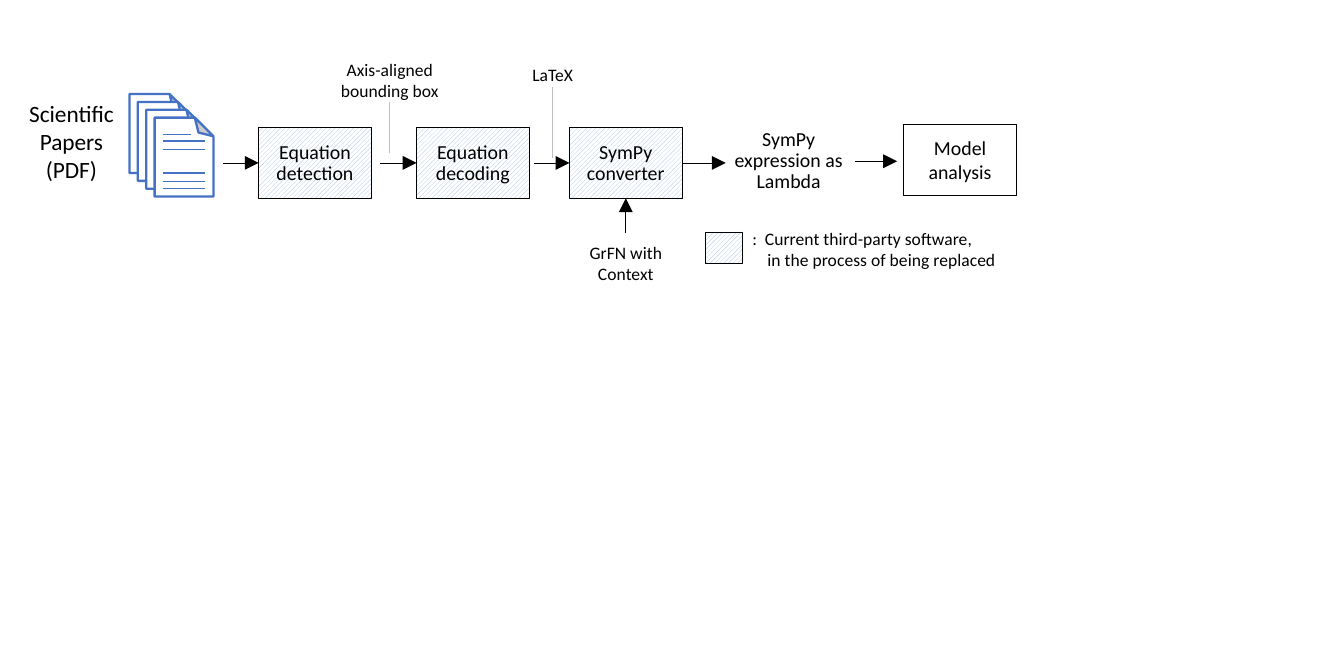
from pptx import Presentation
from pptx.dml.color import RGBColor
from pptx.enum.dml import MSO_PATTERN
from pptx.enum.shapes import MSO_CONNECTOR, MSO_SHAPE
from pptx.enum.text import MSO_ANCHOR, MSO_AUTO_SIZE, PP_ALIGN
from pptx.oxml.ns import qn
from pptx.util import Inches, Pt
from lxml import etree

RECT, FOLDED = MSO_SHAPE.RECTANGLE, MSO_SHAPE.FOLDED_CORNER
STRAIGHT = MSO_CONNECTOR.STRAIGHT
HATCH = MSO_PATTERN.LIGHT_UPWARD_DIAGONAL
MIDDLE, GROW = MSO_ANCHOR.MIDDLE, MSO_AUTO_SIZE.SHAPE_TO_FIT_TEXT
CENTER, LEFT = PP_ALIGN.CENTER, PP_ALIGN.LEFT
TOP_SIDE, LEFT_SIDE, BOTTOM_SIDE, RIGHT_SIDE = range(4)
BLACK, WHITE, BLUE, PALE_BLUE, GREY = "000000", "FFFFFF", "4472C4", "B4C7E7", "BFBFBF"
BOX_W, BOX_H = 0.67, 0.42

rgb = RGBColor.from_string
prs = Presentation()
prs.slide_width, prs.slide_height = Inches(8), Inches(4)
slide = prs.slides.add_slide(prs.slide_layouts[6])
shapes = slide.shapes


def write(s, text, size, align=CENTER, spacing=None, inset=(0.1, 0.05), wrap=True):
    tf = s.text_frame
    tf.word_wrap = wrap
    tf.margin_left = tf.margin_right = Inches(inset[0])
    tf.margin_top = tf.margin_bottom = Inches(inset[1])
    tf.text = text
    for p in tf.paragraphs:
        p.alignment = align
        p.line_spacing = spacing
        p.font.size = Pt(size)
        p.font.name = "Calibri"
        p.font.color.rgb = rgb(BLACK)
    return tf


def add_line(x1, y1, x2, y2, color=BLACK, width=0.25, arrow=False):
    c = shapes.add_connector(STRAIGHT, Inches(x1), Inches(y1), Inches(x2), Inches(y2))
    c.line.color.rgb = rgb(color)
    c.line.width = Pt(width)
    if arrow:
        etree.SubElement(c.line._get_or_add_ln(), qn("a:tailEnd"), type="triangle")
    etree.SubElement(c._element.spPr, qn("a:effectLst"))
    return c


for i in range(4):
    page = shapes.add_shape(FOLDED, Inches(0.77 + 0.05 * i), Inches(0.56 + 0.14 * i / 3),
                            Inches(0.35), Inches(0.47))
    page.shadow.inherit = False
    guides = page._element.spPr.find(qn("a:prstGeom")).get_or_add_avLst()
    etree.SubElement(guides, qn("a:gd"), name="adj", fmla="val 31700")
    page.rotation = 180
    page._element.spPr.xfrm.set("flipH", "1")
    page.fill.solid()
    page.fill.fore_color.rgb = rgb(WHITE)
    page.line.color.rgb = rgb(BLUE)
    page.line.width = Pt(1)

for y, right in [(0.8, 1.14), (0.84, 1.22), (0.89, 1.22),
                 (1.03, 1.22), (1.08, 1.22), (1.12, 1.22)]:
    add_line(0.97, y, right, y, BLUE, 0.5)

boxes = {}
for name, x, y, w, h, hatched in [
    ("Equation detection", 1.54, 0.76, BOX_W, BOX_H, True),
    ("Equation decoding", 2.48, 0.76, BOX_W, BOX_H, True),
    ("SymPy converter", 3.39, 0.76, BOX_W, BOX_H, True),
    ("Model analysis", 5.38, 0.74, BOX_W, BOX_H, False),
    ("", 4.2, 1.38, 0.22, 0.19, True),
]:
    s = shapes.add_shape(RECT, Inches(x), Inches(y), Inches(w), Inches(h))
    s.shadow.inherit = False
    s.line.color.rgb = rgb(BLACK)
    s.line.width = Pt(0.25)
    if hatched:
        s.fill.patterned()
        s.fill.pattern = HATCH
        s.fill.fore_color.rgb = rgb(PALE_BLUE)
        s.fill.back_color.rgb = rgb(WHITE)
    else:
        s.fill.background()
    if name:
        tf = write(s, name, 8.5, spacing=Pt(9) if hatched else None, inset=(0.01, 0.05))
        tf.vertical_anchor = MIDDLE
    boxes[name] = s

labels = {}
for text, x, y, w, h, size, align, inset, wrap in [
    ("Scientific\nPapers\n(PDF)", 0.07, 0.54, 0.71, 0.61, 10, CENTER, (0.1, 0.05), False),
    (":  Current third-party software,\nin the process of being replaced",
     4.38, 1.31, 1.67, 0.35, 7.5, LEFT, (0.1, 0.05), False),
    ("Axis-aligned bounding box", 2, 0.34, 0.64, 0.27, 7.5, CENTER, (0.01, 0.01), True),
    ("LaTeX", 2.97, 0.37, 0.64, 0.15, 7.5, CENTER, (0.01, 0.01), True),
    ("GrFN with Context", 3.4, 1.39, 0.65, 0.35, 7.5, CENTER, (0.1, 0.05), True),
]:
    s = shapes.add_textbox(Inches(x), Inches(y), Inches(w), Inches(h))
    tf = write(s, text, size, align, inset=inset, wrap=wrap)
    tf.auto_size = GROW
    if align == LEFT:
        tf.paragraphs[1]._p.get_or_add_pPr().set("marL", str(Inches(0.09)))
    labels[text] = s

s = shapes.add_textbox(Inches(4.36), Inches(0.75), Inches(BOX_W), Inches(BOX_H))
tf = write(s, "SymPy expression as Lambda", 8.5, spacing=Pt(9), inset=(0.01, 0.05))
tf.vertical_anchor = MIDDLE

for name, x1, x2 in [("Equation detection", 1.33, 1.54),
                     ("Equation decoding", 2.26, 2.48),
                     ("SymPy converter", 3.18, 3.39)]:
    add_line(x1, 0.97, x2, 0.97, arrow=True).end_connect(boxes[name], LEFT_SIDE)

converter = boxes["SymPy converter"]
add_line(4.06, 0.97, 4.32, 0.97, arrow=True).begin_connect(converter, RIGHT_SIDE)
add_line(5.09, 0.96, 5.34, 0.96, arrow=True)

context_arrow = add_line(3.73, 1.39, 3.73, 1.18, arrow=True)
context_arrow.begin_connect(labels["GrFN with Context"], TOP_SIDE)
context_arrow.end_connect(converter, BOTTOM_SIDE)

for text, x, y1, y2 in [("Axis-aligned bounding box", 2.32, 0.61, 0.91),
                        ("LaTeX", 3.29, 0.52, 0.94)]:
    add_line(x, y1, x, y2, GREY).begin_connect(labels[text], BOTTOM_SIDE)

prs.save("out.pptx")
